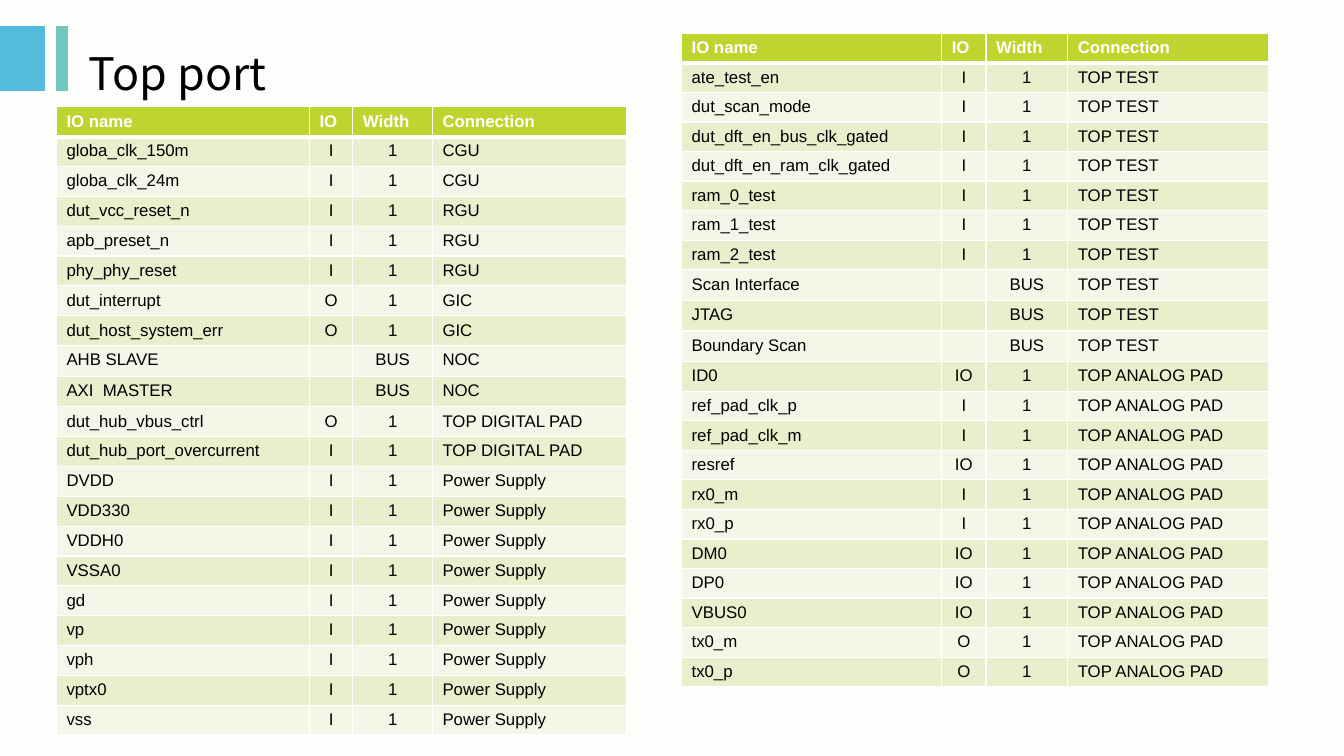
from pptx import Presentation
from pptx.dml.color import RGBColor
from pptx.enum.shapes import MSO_SHAPE
from pptx.enum.text import MSO_ANCHOR, PP_ALIGN
from pptx.oxml import parse_xml
from pptx.oxml.ns import nsdecls
from pptx.util import Inches, Pt


def color(hex_value):
    return RGBColor.from_string(hex_value)


def add_border(cell, side, points):
    cell._tc.get_or_add_tcPr().append(parse_xml(
        f'<a:ln{side} {nsdecls("a")} w="{Pt(points)}"><a:solidFill>'
        f'<a:srgbClr val="FFFFFF"/></a:solidFill></a:ln{side}>'))


HEADINGS = ["IO name", "IO", "Width", "Connection"]
HEADING_FILL = "BED52F"
BAND_FILLS = ["F4F7E8", "E8EFCD"]

# Ports grouped by connection: (name, direction), a bus has no direction
system_ports = {
    "CGU": [("globa_clk_150m", "I"), ("globa_clk_24m", "I")],
    "RGU": [("dut_vcc_reset_n", "I"), ("apb_preset_n", "I"),
            ("phy_phy_reset", "I")],
    "GIC": [("dut_interrupt", "O"), ("dut_host_system_err", "O")],
    "NOC": [("AHB SLAVE", ""), ("AXI  MASTER", "")],
    "TOP DIGITAL PAD": [("dut_hub_vbus_ctrl", "O"),
                        ("dut_hub_port_overcurrent", "I")],
    "Power Supply": [(supply, "I") for supply in (
        "DVDD", "VDD330", "VDDH0", "VSSA0", "gd", "vp", "vph", "vptx0", "vss")],
}
test_and_analog_ports = {
    "TOP TEST": [("ate_test_en", "I"), ("dut_scan_mode", "I"),
                 ("dut_dft_en_bus_clk_gated", "I"),
                 ("dut_dft_en_ram_clk_gated", "I"),
                 ("ram_0_test", "I"), ("ram_1_test", "I"), ("ram_2_test", "I"),
                 ("Scan Interface", ""), ("JTAG", ""), ("Boundary Scan", "")],
    "TOP ANALOG PAD": [("ID0", "IO"), ("ref_pad_clk_p", "I"),
                       ("ref_pad_clk_m", "I"), ("resref", "IO"),
                       ("rx0_m", "I"), ("rx0_p", "I"), ("DM0", "IO"),
                       ("DP0", "IO"), ("VBUS0", "IO"),
                       ("tx0_m", "O"), ("tx0_p", "O")],
}

# Slide and background
deck = Presentation()
deck.slide_width, deck.slide_height = Inches(13.33), Inches(7.5)
slide = deck.slides.add_slide(deck.slide_layouts[5])
slide.background.fill.solid()
slide.background.fill.fore_color.rgb = color("FCFEFC")

# Accent bars beside the title
for left, width, accent in [(0, 0.44, "54BBDC"), (0.56, 0.11, "73C8BE")]:
    bar = slide.shapes.add_shape(MSO_SHAPE.RECTANGLE, Inches(left), Inches(0.26),
                                 Inches(width), Inches(0.64))
    bar.shadow.inherit = False
    bar.fill.solid()
    bar.fill.fore_color.rgb = color(accent)
    bar.line.color.rgb = color(accent)
    bar.line.width = Pt(0.75)

# Title
title = slide.shapes.title
title_place = {"left": 0.78, "top": 0.26, "width": 11.88, "height": 0.92}
for side, inches in title_place.items():
    setattr(title, side, Inches(inches))
title.text_frame.text = "Top port"
title.text_frame.vertical_anchor = MSO_ANCHOR.MIDDLE
heading = title.text_frame.paragraphs[0]
heading.alignment = PP_ALIGN.LEFT
for attribute, value in {"size": Pt(32), "name": "Noto Sans CJK SC"}.items():
    setattr(heading.runs[0].font, attribute, value)
heading.runs[0].font.color.rgb = color("000000")

# Port tables: ports, left, top, height, column widths
port_tables = [
    (system_ports, 0.56, 1.06, 6.22, [2.51, 0.43, 0.79, 1.93]),
    (test_and_analog_ports, 6.76, 0.33, 6.46, [2.58, 0.44, 0.81, 1.99]),
]
for ports, left, top, height, column_widths in port_tables:
    rows = [HEADINGS] + [
        [name, direction, "1" if direction else "BUS", connection]
        for connection, members in ports.items() for name, direction in members]
    table = slide.shapes.add_table(
        len(rows), len(HEADINGS), Inches(left), Inches(top),
        Inches(sum(column_widths)), Inches(height)).table
    for column, width in zip(table.columns, column_widths):
        column.width = Inches(width)
    for row_number, row in enumerate(rows):
        is_heading = row_number == 0
        table.rows[row_number].height = Inches(height / len(rows))
        text_format = {"size": Pt(12), "name": "Arial", "bold": is_heading}
        for column_number, entry in enumerate(row):
            cell = table.cell(row_number, column_number)
            for side in "LRTB":
                below_heading = (row_number, side) in [(0, "B"), (1, "T")]
                add_border(cell, side, 3 if below_heading else 1)
            cell.fill.solid()
            cell.fill.fore_color.rgb = color(
                HEADING_FILL if is_heading else BAND_FILLS[row_number % 2])
            paragraph = cell.text_frame.paragraphs[0]
            if not is_heading and column_number in (1, 2):
                paragraph.alignment = PP_ALIGN.CENTER
            if not entry:
                # Keeps the empty cell from stretching its row
                paragraph._p.get_or_add_endParaRPr().set("sz", "1200")
                continue
            run = paragraph.add_run()
            run.text = entry
            for attribute, value in text_format.items():
                setattr(run.font, attribute, value)
            run.font.color.rgb = color("FFFFFF" if is_heading else "000000")

deck.save("out.pptx")
